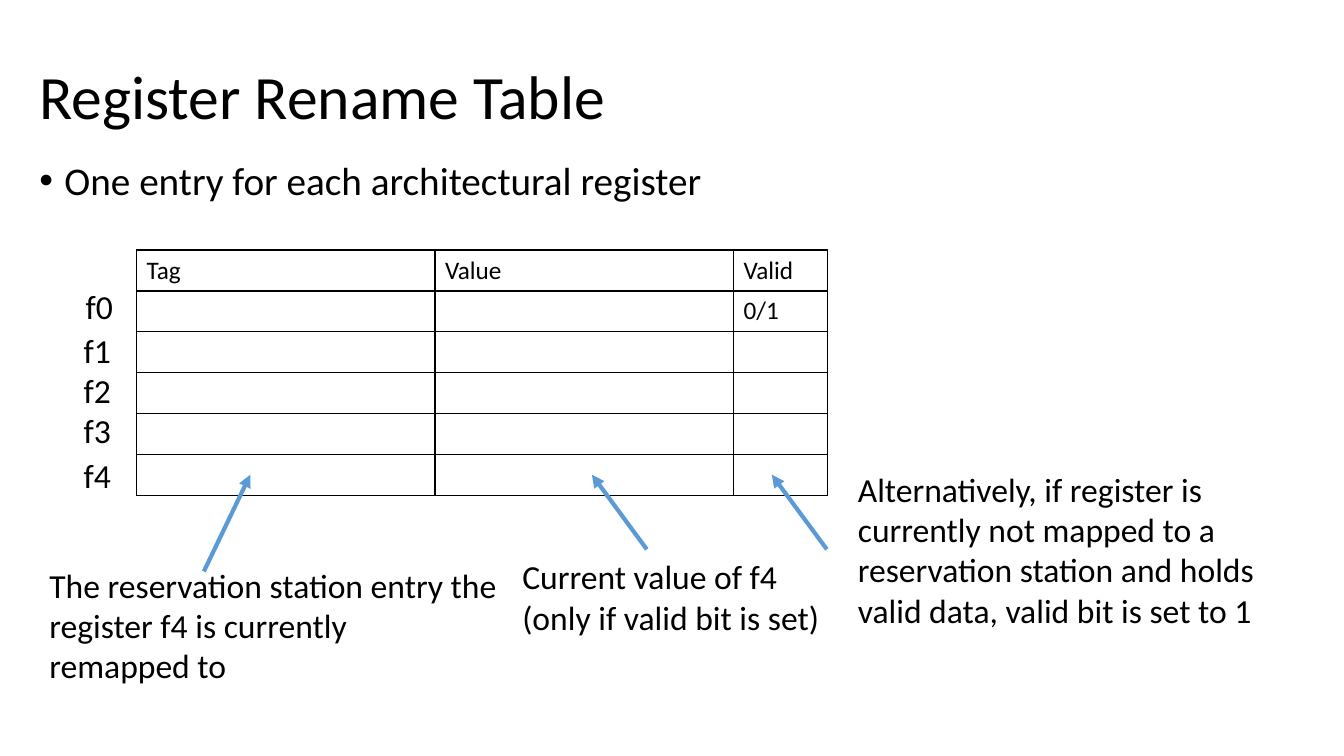
from dataclasses import dataclass

from lxml.etree import SubElement
from pptx import Presentation
from pptx.dml.color import RGBColor as Color
from pptx.enum.shapes import MSO_CONNECTOR as Connector
from pptx.enum.text import MSO_ANCHOR as Anchor, MSO_AUTO_SIZE as AutoSize
from pptx.oxml.ns import qn
from pptx.util import Pt


@dataclass(frozen=True)
class Theme:
    font: str = "Calibri"
    ink: str = "000000"
    accent: str = "5B9BD5"
    title_size: int = 44
    body_size: int = 28
    note_size: int = 24
    cell_size: int = 18
    border_width: int = 1
    arrow_width: int = 3


class SlideBuilder:
    def __init__(self, slide, theme):
        self.slide = slide
        self.theme = theme

    def add_wording(self, paragraph, wording, size):
        run = paragraph.add_run()
        run.text = wording
        run.font.color.rgb = Color.from_string(self.theme.ink)
        formats = {"name": self.theme.font, "size": Pt(size)}
        for attribute, value in formats.items():
            setattr(run.font, attribute, value)

    def text(self, box, paragraphs, size, spacing=None, bullet=False, **frame_formats):
        frame = self.slide.shapes.add_textbox(*map(Pt, box)).text_frame
        formats = {"word_wrap": True, "auto_size": AutoSize.NONE} | frame_formats
        for attribute, value in formats.items():
            setattr(frame, attribute, value)
        for index, wording in enumerate(paragraphs):
            paragraph = frame.add_paragraph() if index else frame.paragraphs[0]
            if spacing:
                paragraph.line_spacing = spacing
            if bullet:
                self.bullet(paragraph)
            self.add_wording(paragraph, wording, size)

    def bullet(self, paragraph):
        properties = paragraph._p.get_or_add_pPr()
        for attribute, value in {"marL": Pt(18), "indent": -Pt(18)}.items():
            properties.set(attribute, str(value))
        SubElement(properties, qn("a:buFont"), typeface="Arial")
        SubElement(properties, qn("a:buChar"), char="•")

    def border(self, cell):
        properties = cell._tc.get_or_add_tcPr()
        for side in ("lnL", "lnR", "lnT", "lnB"):
            edge = SubElement(properties, qn(f"a:{side}"), w=str(Pt(self.theme.border_width)))
            fill = SubElement(edge, qn("a:solidFill"))
            SubElement(fill, qn("a:srgbClr"), val=self.theme.ink)

    def table(self, left, top, widths, row_height, rows):
        size = (sum(widths), row_height * len(rows))
        table = self.slide.shapes.add_table(
            len(rows), len(widths), *map(Pt, (left, top, *size))
        ).table
        for attribute in ("first_row", "horz_banding"):
            setattr(table, attribute, False)
        for column, width in zip(table.columns, widths):
            column.width = Pt(width)
        for row, entries in zip(table.rows, rows):
            row.height = Pt(row_height)
            for cell, entry in zip(row.cells, entries):
                self.border(cell)
                cell.fill.background()
                if entry:
                    self.add_wording(cell.text_frame.paragraphs[0], entry, self.theme.cell_size)

    def arrow(self, start, end):
        arrow = self.slide.shapes.add_connector(
            Connector.STRAIGHT, *map(Pt, (*start, *end))
        )
        arrow.line.color.rgb = Color.from_string(self.theme.accent)
        arrow.line.width = Pt(self.theme.arrow_width)
        SubElement(arrow.line._get_or_add_ln(), qn("a:tailEnd"), type="triangle")
        SubElement(arrow._element.spPr, qn("a:effectLst"))


def main():
    presentation = Presentation()
    presentation.slide_width, presentation.slide_height = Pt(960), Pt(540)
    theme = Theme()
    builder = SlideBuilder(
        presentation.slides.add_slide(presentation.slide_layouts[6]), theme
    )

    builder.text((21, 18.7, 828, 104.4), ["Register Rename Table"], theme.title_size,
                 spacing=0.9, vertical_anchor=Anchor.MIDDLE)

    empty_entry = ("", "", "")
    entries = [("Tag", "Value", "Valid"), ("", "", "0/1")] + [empty_entry] * 4
    builder.table(97.5, 178.6, (213.2, 213.2, 67), 29.2, entries)

    builder.text((21, 111.6, 828, 419.8), ["One entry for each architectural register"],
                 theme.body_size, spacing=0.9, bullet=True)

    register_places = [(54, 200.9), (52.6, 231.8), (52.6, 260.6), (52.6, 289.4), (52.6, 321.1)]
    for number, place in enumerate(register_places):
        builder.text((*place, 34.6, 36), [f"f{number}"], theme.note_size,
                     word_wrap=False, auto_size=AutoSize.SHAPE_TO_FIT_TEXT)

    arrow_tip = 339.1
    explanations = [
        ((145.6, 408.2), 178.8, (28.2, 399.6, 343.4, 94.3),
         ["The reservation station entry the register f4 is currently", "remapped to"]),
        ((590.6, 392.4), 551.3, (605.7, 331.2, 343.4, 123.8),
         ["Alternatively, if register is currently not mapped to a reservation station "
          "and holds valid data, valid bit is set to 1"]),
        ((462, 392.4), 422.8, (366, 393.8, 239, 65.5),
         ["Current value of f4 (only if valid bit is set)"]),
    ]
    for start, tip_x, box, wording in explanations:
        builder.arrow(start, (tip_x, arrow_tip))
        builder.text(box, wording, theme.note_size, auto_size=AutoSize.SHAPE_TO_FIT_TEXT)

    presentation.save("out.pptx")


if __name__ == "__main__":
    main()
